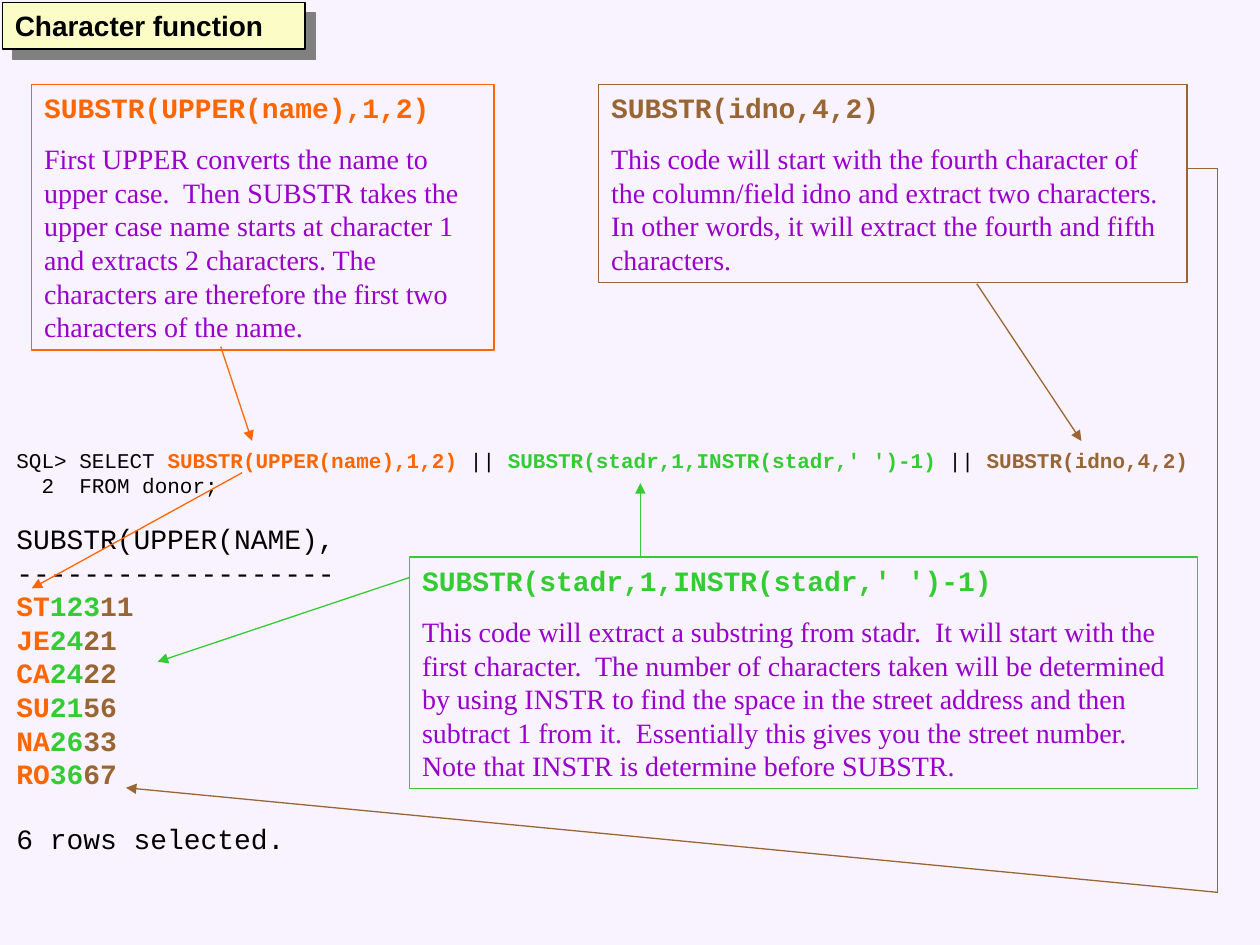
from dataclasses import dataclass
from itertools import pairwise

from lxml import etree
from pptx import Presentation
from pptx import util as u
from pptx.dml.color import RGBColor
from pptx.enum import shapes, text
from pptx.oxml import ns


@dataclass(frozen=True)
class Theme:
    background: str = "F9F3FF"
    banner: str = "FCFDC6"
    shadow: str = "808080"
    ink: str = "000000"
    prose: str = "9900CC"
    name: str = "FF6600"
    street: str = "33CC33"
    idno: str = "996633"
    size: int = 16
    small: int = 12
    line: float = 0.75
    heading_font: str = "Arial"
    code_font: str = "Courier New"
    prose_font: str = "Times New Roman"


class Board:
    """Holds the theme and the slide being drawn."""

    def __init__(self, slide, theme):
        self.slide, self.theme = slide, theme
        slide.background.fill.solid()
        slide.background.fill.fore_color.rgb = RGBColor.from_string(theme.background)

    def outline(self, item, color):
        item.line.color.rgb = RGBColor.from_string(color)
        item.line.width = u.Pt(self.theme.line)

    def frame(self, shape, wrap=True):
        settings = {"word_wrap": wrap, "auto_size": text.MSO_AUTO_SIZE.NONE,
                    "vertical_anchor": text.MSO_ANCHOR.TOP,
                    "margin_left": u.Cm(0.25), "margin_right": u.Cm(0.25),
                    "margin_top": u.Cm(0.13), "margin_bottom": u.Cm(0.13)}
        for key, value in settings.items():
            setattr(shape.text_frame, key, value)
        return shape.text_frame

    def add_runs(self, paragraph, runs, font, size, before=0):
        """Fill a paragraph with (words, colour, bold) runs."""
        paragraph.alignment = text.PP_ALIGN.LEFT
        if before:
            paragraph.space_before = u.Pt(before)
        for words, color, bold in runs:
            run = paragraph.add_run()
            run.text = words
            for key, value in {"name": font, "size": u.Pt(size), "bold": bold}.items():
                setattr(run.font, key, value)
            run.font.color.rgb = RGBColor.from_string(color)

    def title(self, words, *place):
        t, banner = self.theme, self.slide.shapes.title
        for key, value in zip(("left", "top", "width", "height"), place):
            setattr(banner, key, u.Cm(value))
        banner.fill.solid()
        banner.fill.fore_color.rgb = RGBColor.from_string(t.banner)
        self.outline(banner, t.ink)
        self.add_runs(self.frame(banner).paragraphs[0], [(words, t.ink, True)],
                      t.heading_font, t.size)
        # Hard offset shadow
        banner.shadow.inherit = False
        effects = banner._element.spPr.find(ns.qn("a:effectLst"))
        shadow = etree.SubElement(effects, ns.qn("a:outerShdw"), dist=str(int(u.Pt(8.5))),
                                  dir="2700000", algn="ctr", rotWithShape="0")
        etree.SubElement(shadow, ns.qn("a:srgbClr"), val=t.shadow)

    def note(self, code, explanation, color, *place):
        t = self.theme
        box = self.slide.shapes.add_shape(shapes.MSO_SHAPE.RECTANGLE, *map(u.Cm, place))
        box.shadow.inherit = False
        box.fill.background()
        self.outline(box, color)
        frame = self.frame(box)
        self.add_runs(frame.paragraphs[0], [(code, color, True)], t.code_font, t.size)
        self.add_runs(frame.add_paragraph(), [(explanation, t.prose, False)],
                      t.prose_font, t.size, before=10)

    def listing(self, lines, *place):
        """Set out (runs, size, space before) lines of code."""
        frame = self.frame(self.slide.shapes.add_textbox(*map(u.Cm, place)), wrap=False)
        for i, (runs, size, before) in enumerate(lines):
            paragraph = frame.add_paragraph() if i else frame.paragraphs[0]
            self.add_runs(paragraph, runs, self.theme.code_font, size, before)

    def arrow(self, color, *points):
        """Draw straight legs through the points, with a head on the last."""
        for start, end in pairwise(points):
            leg = self.slide.shapes.add_connector(
                shapes.MSO_CONNECTOR.STRAIGHT, *map(u.Cm, start + end))
            self.outline(leg, color)
            if end == points[-1]:
                line = leg._element.spPr.find(ns.qn("a:ln"))
                etree.SubElement(line, ns.qn("a:tailEnd"), type="triangle")
            etree.SubElement(leg._element.spPr, ns.qn("a:effectLst"))


NAME_CODE = "SUBSTR(UPPER(name),1,2)"
STREET_CODE = "SUBSTR(stadr,1,INSTR(stadr,' ')-1)"
IDNO_CODE = "SUBSTR(idno,4,2)"
RESULTS = [("ST", "123", "11"), ("JE", "24", "21"), ("CA", "24", "22"),
           ("SU", "21", "56"), ("NA", "26", "33"), ("RO", "36", "67")]


def main():
    deck = Presentation()
    deck.slide_width, deck.slide_height = u.Cm(25.4), u.Cm(19.05)
    t = Theme()
    board = Board(deck.slides.add_slide(deck.slide_layouts[5]), t)
    board.title("Character function", 0.05, 0.05, 6.1, 0.94)

    # Query and its output
    def plain(words):
        return [(words, t.ink, False)]

    query = [*plain("SQL> SELECT "), (NAME_CODE, t.name, True), *plain(" || "),
             (STREET_CODE, t.street, True), *plain(" || "), (IDNO_CODE, t.idno, True)]
    parts = (t.name, t.street, t.idno)
    rows = [([(words, color, True) for words, color in zip(row, parts)], t.size, 0)
            for row in RESULTS]
    board.listing([(query, t.small, 0),
                   (plain("  2  FROM donor;"), t.small, 0),
                   (plain("SUBSTR(UPPER(NAME),"), t.size, 13.6),
                   (plain("-" * 19), t.size, 0),
                   *rows,
                   (plain("6 rows selected."), t.size, 18.1)],
                  0.08, 8.89, 24.13, 8.56)

    # Explanations
    board.note(NAME_CODE,
               "First UPPER converts the name to upper case.  Then SUBSTR takes the "
               "upper case name starts at character 1 and extracts 2 characters. The "
               "characters are therefore the first two characters of the name.",
               t.name, 0.64, 1.7, 9.32, 5.36)
    board.note(STREET_CODE,
               "This code will extract a substring from stadr.  It will start with the "
               "first character.  The number of characters taken will be determined by "
               "using INSTR to find the space in the street address and then subtract 1 "
               "from it.  Essentially this gives you the street number. Note that INSTR "
               "is determine before SUBSTR.",
               t.street, 8.26, 11.23, 15.88, 4.67)
    board.note(IDNO_CODE,
               "This code will start with the fourth character of the column/field idno "
               "and extract two characters.  In other words, it will extract the fourth "
               "and fifth characters.",
               t.idno, 12.07, 1.7, 11.86, 3.99)

    # Arrows from the explanations to the query and the output
    board.arrow(t.name, (4.45, 6.99), (5.08, 8.89))
    board.arrow(t.name, (4.88, 9.53), (0.64, 11.86))
    board.arrow(t.street, (12.91, 11.23), (12.91, 9.74))
    board.arrow(t.street, (8.26, 11.64), (3.18, 13.34))
    board.arrow(t.idno, (19.69, 5.72), (21.8, 8.89))
    board.arrow(t.idno, (23.93, 3.39), (24.55, 3.39), (24.55, 17.99), (2.54, 15.88))

    deck.save("out.pptx")


if __name__ == "__main__":
    main()
